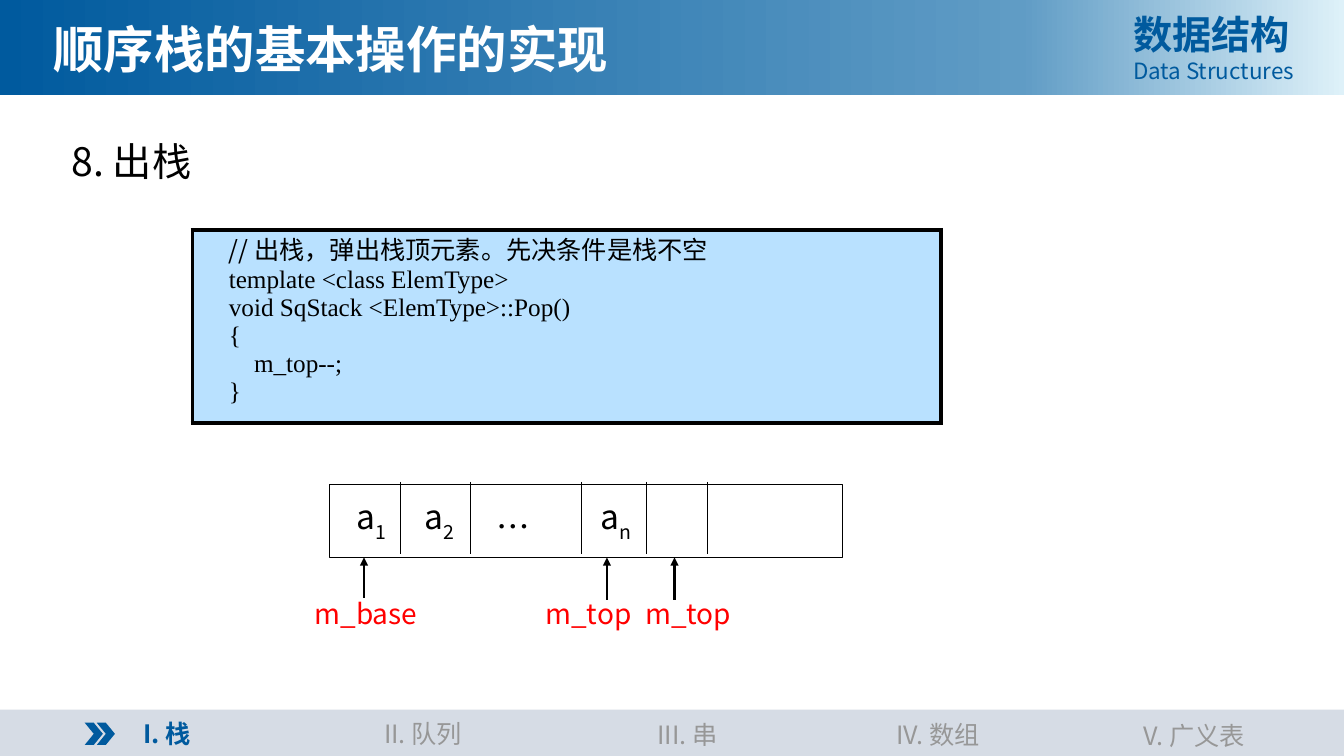
from lxml.etree import SubElement
from pptx import Presentation
from pptx.dml.color import RGBColor
from pptx.enum.shapes import MSO_CONNECTOR, MSO_SHAPE
from pptx.enum.text import MSO_ANCHOR, MSO_AUTO_SIZE, PP_ALIGN
from pptx.oxml.ns import qn
from pptx.util import Inches, Pt

SANS, SERIF = "Noto Sans CJK SC", "Times New Roman"
BLUE = RGBColor(0x00, 0x5A, 0x9E)
MID = RGBColor(0x60, 0x9C, 0xC5)
PALE = RGBColor(0xDE, 0xF1, 0xF9)
WHITE = RGBColor(0xFF, 0xFF, 0xFF)
BLACK = RGBColor(0x00, 0x00, 0x00)
RED = RGBColor(0xFF, 0x00, 0x00)
GRAY = RGBColor(0x97, 0x97, 0x97)
BAR = RGBColor(0xD6, 0xDC, 0xE5)
SKY = RGBColor(0xB9, 0xE1, 0xFF)

TITLE = "顺序栈的基本操作的实现"
TOPIC = "8. 出栈"
COURSE = [("数据结构", 28, True), ("Data Structures", 16, False)]
MENU = [("I. 栈", 0.84, 7.08, 1.63), ("II. 队列", 3.08, 7.08, 2.23),
        ("III. 串", 5.92, 7.09, 1.8), ("IV. 数组", 8.34, 7.09, 1.93),
        ("V. 广义表", 10.88, 7.1, 1.93)]
CODE = ["// 出栈，弹出栈顶元素。先决条件是栈不空", "template <class ElemType>",
        "void SqStack <ElemType>::Pop()", "{", "    m_top--;", "}"]
ITEMS = [("1", 3.44), ("2", 4.11), ("n", 5.86)]
WALLS = [3.97, 4.67, 5.77, 6.41, 7.02]
MARKS = [("m_base", 3.02, 3.61, 5.93), ("m_top", 5.31, 6.02, 5.95),
         ("m_top", 6.3, 6.69, 5.95)]


def write(para, text, size=18, color=BLACK, bold=False, font=SANS, align=None, base=0):
    """Add a formatted run to a paragraph."""
    run = para.add_run()
    run.text = text
    run.font.size = Pt(size)
    run.font.bold = bold
    run.font.color.rgb = color
    run.font.name = font
    props = run.font._element
    SubElement(props, qn("a:ea")).set("typeface", font)
    if base:
        props.set("baseline", str(base))
    if align is not None:
        para.alignment = align


def place(shape, x, y, w, h):
    """Set the position and size of a shape."""
    shape.left, shape.top = Inches(x), Inches(y)
    shape.width, shape.height = Inches(w), Inches(h)


def frame(shape, anchor=MSO_ANCHOR.TOP):
    """Make a text frame wrap at fixed size and return its first paragraph."""
    body = shape.text_frame
    body.word_wrap = True
    body.auto_size = MSO_AUTO_SIZE.NONE
    body.vertical_anchor = anchor
    return body.paragraphs[0]


def label(slide, x, y, w, h):
    """Add a text box and return its first paragraph."""
    return frame(slide.shapes.add_textbox(Inches(x), Inches(y), Inches(w), Inches(h)))


def block(slide, kind, x, y, w, h, fill, line=None):
    """Add a flat preset shape."""
    shape = slide.shapes.add_shape(kind, Inches(x), Inches(y), Inches(w), Inches(h))
    shape.shadow.inherit = False
    shape.fill.solid()
    shape.fill.fore_color.rgb = fill
    if line is None:
        shape.line.fill.background()
    else:
        shape.line.color.rgb = line
        shape.line.width = Pt(0.75)
    return shape


def rule(slide, x, top, end, width, arrow=False):
    """Draw a vertical line, with an arrowhead at its end if asked."""
    line = slide.shapes.add_connector(
        MSO_CONNECTOR.STRAIGHT, Inches(x), Inches(top), Inches(x), Inches(end))
    line.line.color.rgb = BLACK
    line.line.width = Pt(width)
    if arrow:
        SubElement(line.line._get_or_add_ln(), qn("a:tailEnd")).set("type", "triangle")
    SubElement(line._element.spPr, qn("a:effectLst"))


def header(slide):
    """Build the banner, the title and the course name."""
    banner = block(slide, MSO_SHAPE.RECTANGLE, 0, 0, 13.33, 0.94, BLUE)
    banner.fill.gradient()
    banner.fill.gradient_angle = 0
    stops = banner.fill._fill._gradFill.find(qn("a:gsLst"))
    stops.clear()
    for pos, color in [(0, BLUE), (76, MID), (100, PALE)]:
        stop = SubElement(stops, qn("a:gs"), pos=str(pos * 1000))
        SubElement(stop, qn("a:srgbClr"), val=str(color))
    title = slide.shapes.title
    title.element.addprevious(banner.element)
    place(title, 0.43, 0.12, 8.75, 0.71)
    write(frame(title, MSO_ANCHOR.MIDDLE), TITLE, size=36, color=WHITE, bold=True,
          align=PP_ALIGN.LEFT)
    para = label(slide, 11.14, 0.05, 1.91, 0.84)
    for i, (text, size, bold) in enumerate(COURSE):
        if i:
            para = slide.shapes[-1].text_frame.add_paragraph()
        write(para, text, size=size, color=BLUE, bold=bold, align=PP_ALIGN.JUSTIFY)


def footer(slide):
    """Build the chapter bar."""
    block(slide, MSO_SHAPE.RECTANGLE, 0, 7.04, 13.33, 0.46, BAR)
    for i, (text, x, y, w) in enumerate(MENU):
        write(label(slide, x, y, w, 0.4), text, color=GRAY if i else BLUE,
              bold=not i, align=PP_ALIGN.CENTER)
    for x in (0.96, 0.84):
        block(slide, MSO_SHAPE.CHEVRON, x, 7.17, 0.18, 0.22, BLUE)


def topic(slide):
    """Fill the body placeholder."""
    body = slide.placeholders[1]
    place(body, 0.61, 1.36, 9, 0.75)
    para = frame(body)
    props = para._p.get_or_add_pPr()
    props.set("marL", str(Inches(0.25)))
    props.set("indent", str(-Inches(0.25)))
    SubElement(props, qn("a:buNone"))
    para.line_spacing = 0.9
    para.space_before = Pt(0)
    write(para, TOPIC, size=28)


def listing(slide):
    """Build the code table."""
    grid = slide.shapes.add_table(
        1, 1, Inches(1.91), Inches(2.28), Inches(7.42), Inches(1.92)).table
    cell = grid.cell(0, 0)
    cell.margin_left = cell.margin_right = Inches(0.07)
    cell.margin_top = cell.margin_bottom = 0
    props = cell._tc.get_or_add_tcPr()
    for side in ("lnL", "lnR", "lnT", "lnB"):
        edge = SubElement(props, qn("a:" + side), w=str(Pt(3)))
        SubElement(SubElement(edge, qn("a:solidFill")), qn("a:srgbClr"), val=str(BLACK))
    cell.fill.solid()
    cell.fill.fore_color.rgb = SKY
    for i, text in enumerate(CODE):
        para = cell.text_frame.add_paragraph() if i else cell.text_frame.paragraphs[0]
        para._p.get_or_add_pPr().set("indent", str(Inches(0.29)))
        write(para, text, font=SERIF if i else SANS, align=PP_ALIGN.JUSTIFY)


def stack(slide):
    """Draw the stack array and its pointers."""
    block(slide, MSO_SHAPE.RECTANGLE, 3.27, 4.81, 5.09, 0.72, WHITE, BLACK)
    for x in WALLS:
        rule(slide, x, 4.78, 5.5, 0.75)
    for sub, x in ITEMS:
        para = label(slide, x, 4.87, 0.62, 0.58)
        write(para, "a", size=24)
        write(para, sub, size=24, base=-30000)
    write(label(slide, 4.78, 4.97, 0.62, 0.58), "…", size=24, align=PP_ALIGN.CENTER)
    for text, x, tip, low in MARKS:
        rule(slide, tip, low, 5.53, 1.5, arrow=True)
        write(label(slide, x, 5.87, 1.45, 0.42), text, size=20, color=RED)


def main():
    """Build and save the slide."""
    deck = Presentation()
    deck.slide_width, deck.slide_height = Inches(13.33), Inches(7.5)
    slide = deck.slides.add_slide(deck.slide_layouts[1])
    header(slide)
    footer(slide)
    topic(slide)
    listing(slide)
    stack(slide)
    deck.save("out.pptx")


if __name__ == "__main__":
    main()
